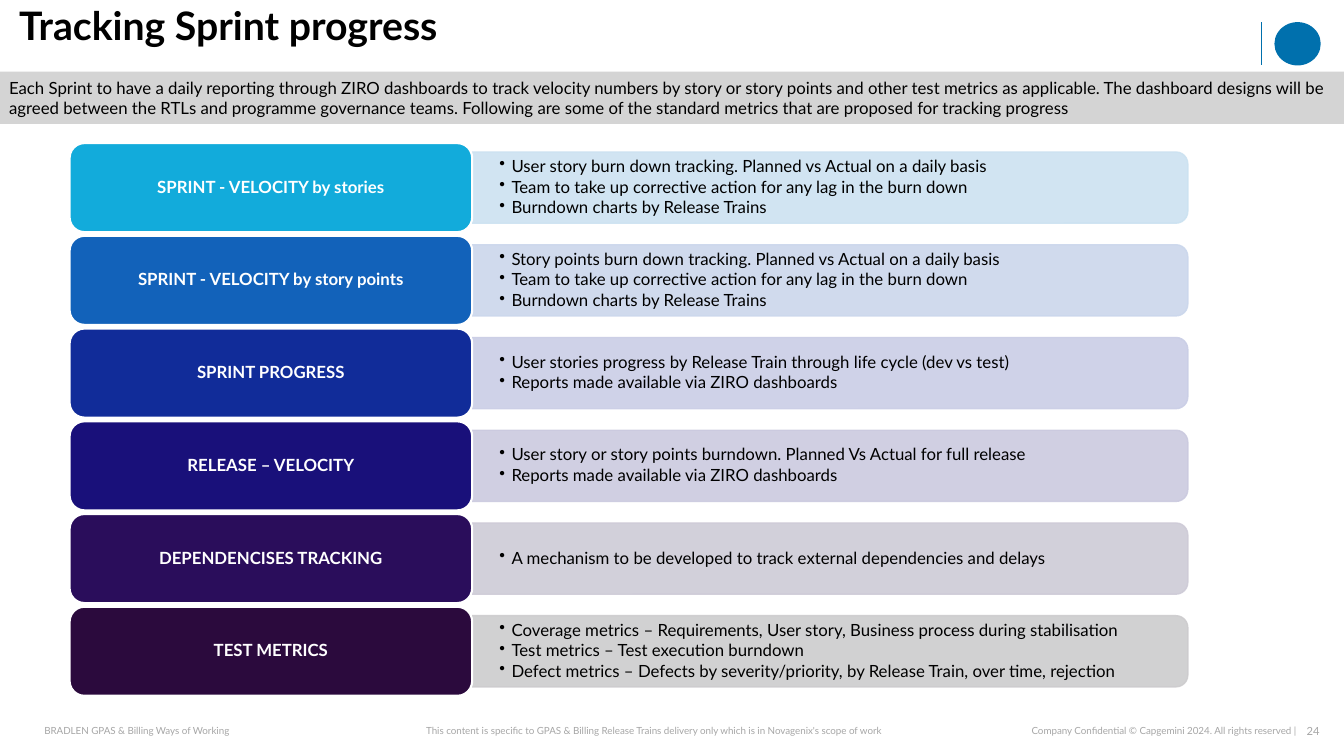
from dataclasses import dataclass

from lxml.etree import SubElement
from pptx import Presentation
from pptx.dml.color import RGBColor
from pptx.enum.shapes import MSO_CONNECTOR, MSO_SHAPE
from pptx.enum.text import MSO_ANCHOR, MSO_AUTO_SIZE, PP_ALIGN
from pptx.oxml.ns import qn
from pptx.util import Inches, Pt


@dataclass(frozen=True)
class Theme:
    font: str = "Lato"
    ink: str = "000000"
    paper: str = "FFFFFF"
    band: str = "D4D4D4"
    muted: str = "A6A6A6"
    accent: str = "0070AD"
    title_size: int = 28
    text_size: int = 12
    footer_size: int = 7
    number_size: int = 8


@dataclass(frozen=True)
class Box:
    left: int
    top: int
    width: int
    height: int

    def share(self, left, top, width, height):
        return Box(
            round(self.left + self.width * left / 100),
            round(self.top + self.height * top / 100),
            round(self.width * width / 100),
            round(self.height * height / 100),
        )

    def turned(self):
        shift = (self.width - self.height) // 2
        return Box(self.left + shift, self.top - shift, self.height, self.width)

    def edges(self):
        return self.left, self.top, self.width, self.height


THEME = Theme()

METRICS = [
    ("SPRINT - VELOCITY by stories", "12ABDB", "CCE2F1", [
        "User story burn down tracking. Planned vs Actual on a daily basis",
        "Team to take up corrective action for any lag in the burn down",
        "Burndown charts by Release Trains",
    ]),
    ("SPRINT - VELOCITY by story points", "1262BA", "CBD7EC", [
        "Story points burn down tracking. Planned vs Actual on a daily basis",
        "Team to take up corrective action for any lag in the burn down",
        "Burndown charts by Release Trains",
    ]),
    ("SPRINT PROGRESS", "112C99", "CACEE6", [
        "User stories progress by Release Train through life cycle (dev vs test)",
        "Reports made available via ZIRO dashboards",
    ]),
    ("RELEASE – VELOCITY", "19107A", "CBCADF", [
        "User story or story points burndown. Planned Vs Actual for full release",
        "Reports made available via ZIRO dashboards",
    ]),
    ("DEPENDENCISES TRACKING", "2A0D5B", "CECBD7", [
        "A mechanism to be developed to track external dependencies and delays",
    ]),
    ("TEST METRICS", "2B0A3D", "CDCCCE", [
        "Coverage metrics – Requirements, User story, Business process during stabilisation",
        "Test metrics – Test execution burndown",
        "Defect metrics – Defects by severity/priority, by Release Train, over time, rejection",
    ]),
]

INTRO = (
    "Each Sprint to have a daily reporting through ZIRO dashboards to track velocity numbers "
    "by story or story points and other test metrics as applicable. The dashboard designs will be "
    "agreed between the RTLs and programme governance teams. Following are some of the standard "
    "metrics that are proposed for tracking progress"
)

FOOTERS = [
    ("BRADLEN GPAS & Billing Ways of Working", 3.3, 28, PP_ALIGN.LEFT, THEME.footer_size),
    ("This content is specific to GPAS & Billing Release Trains delivery only "
     "which is in Novagenix's scope of work", 18.2, 60.9, PP_ALIGN.CENTER, THEME.footer_size),
    ("Company Confidential © Capgemini 2024. All rights reserved |",
     59.25, 37.2, PP_ALIGN.RIGHT, THEME.footer_size),
    ("24", 96.3, 1.9, PP_ALIGN.RIGHT, THEME.number_size),
]


def assign(target, values):
    for name, value in values.items():
        setattr(target, name, value)


def move(shape, box):
    assign(shape, {"left": box.left, "top": box.top, "width": box.width, "height": box.height})


def paint(shape, color):
    shape.fill.solid()
    shape.fill.fore_color.rgb = RGBColor.from_string(color)


def write(shape, lines, size, color=THEME.ink, bold=False, align=PP_ALIGN.LEFT,
          bullet=False, side=0, spacing=1.0):
    frame = shape.text_frame
    assign(frame, {
        "word_wrap": True, "auto_size": MSO_AUTO_SIZE.NONE,
        "vertical_anchor": MSO_ANCHOR.MIDDLE,
        "margin_left": Inches(side), "margin_right": Inches(side / 2),
        "margin_top": 0, "margin_bottom": 0,
    })
    for index, line in enumerate(lines):
        para = frame.paragraphs[0] if index == 0 else frame.add_paragraph()
        settings = para._p.get_or_add_pPr()
        hang = Inches(0.12) if bullet else 0
        settings.set("marL", str(hang))
        settings.set("indent", str(-hang))
        if bullet:
            SubElement(settings, qn("a:buChar")).set("char", "•")
        else:
            SubElement(settings, qn("a:buNone"))
        assign(para, {
            "alignment": align, "line_spacing": spacing, "space_before": Pt(0),
            "space_after": Pt(1.8 if bullet else 0),
        })
        span = para.add_run()
        span.text = line
        assign(span.font, {"name": THEME.font, "size": Pt(size), "bold": bold})
        span.font.color.rgb = RGBColor.from_string(color)


def add_block(page, kind, box, color):
    shape = page.shapes.add_shape(kind, *box.edges())
    shape.shadow.inherit = False
    paint(shape, color)
    shape.line.fill.background()
    return shape


def add_heading(page, box):
    title = page.shapes.title
    move(title, box.share(0, 0, 76, 45.5))
    paint(title, THEME.paper)
    write(title, ["Tracking Sprint progress"], THEME.title_size, bold=True, side=0.19, spacing=0.9)
    intro = page.placeholders[1]
    move(intro, box.share(0, 57.7, 100, 42.3))
    paint(intro, THEME.band)
    write(intro, [INTRO], THEME.text_size, side=0.09)


def add_mark(page, box):
    rule = page.shapes.add_connector(
        MSO_CONNECTOR.STRAIGHT, box.left, box.top, box.left, box.top + box.height)
    rule.line.color.rgb = RGBColor.from_string(THEME.accent)
    rule.line.width = Pt(0.5)
    SubElement(rule._element.spPr, qn("a:effectLst"))
    add_block(page, MSO_SHAPE.OVAL, box.share(22, 0, 78, 100), THEME.accent)


def add_metric(page, box, heading, color, tint, lines):
    bar_box = box.share(36, 10, 64, 80)
    bar = add_block(page, MSO_SHAPE.ROUND_2_SAME_RECTANGLE, bar_box.turned(), tint)
    bar.rotation = 90
    bar.line.color.rgb = RGBColor.from_string(tint)
    bar.line.width = Pt(1)
    for shade in bar._element.spPr.iter(qn("a:srgbClr")):
        SubElement(shade, qn("a:alpha")).set("val", "90000")
    points = page.shapes.add_textbox(*bar_box.edges())
    write(points, lines, THEME.text_size, bullet=True, side=0.27, spacing=0.9)
    label = add_block(page, MSO_SHAPE.ROUNDED_RECTANGLE, box.share(0, 0, 36, 100), color)
    label.line.color.rgb = RGBColor.from_string(THEME.paper)
    label.line.width = Pt(1.5)
    write(label, [heading], THEME.text_size, THEME.paper, True, PP_ALIGN.CENTER, spacing=0.9)


def add_metrics(page, box):
    pitch = 100 / len(METRICS)
    for index, metric in enumerate(METRICS):
        add_metric(page, box.share(0, index * pitch, 100, pitch * 0.96), *metric)


def add_footer(page, box):
    for text, left, width, align, size in FOOTERS:
        note = page.shapes.add_textbox(*box.share(left, 0, width, 100).edges())
        write(note, [text], size, THEME.muted, align=align)


def main():
    deck = Presentation()
    assign(deck, {"slide_width": Inches(13.33), "slide_height": Inches(7.5)})
    page = deck.slides.add_slide(deck.slide_layouts[1])
    canvas = Box(0, 0, deck.slide_width, deck.slide_height)
    add_heading(page, canvas.share(0, 0, 100, 16.4))
    add_mark(page, canvas.share(93.85, 2.93, 4.42, 5.73))
    add_metrics(page, canvas.share(5.18, 18.93, 83.2, 73.6))
    add_footer(page, canvas.share(0, 95.07, 100, 3.2))
    deck.save("out.pptx")


if __name__ == "__main__":
    main()
